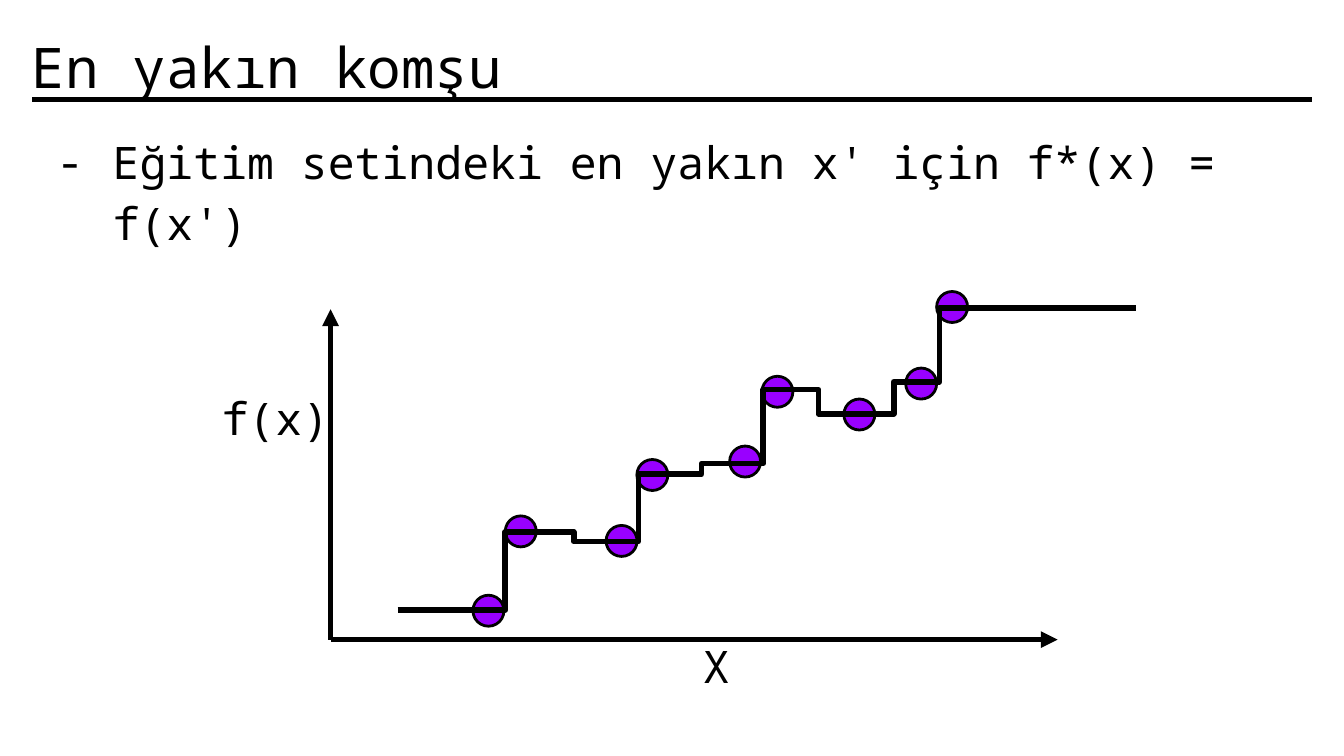
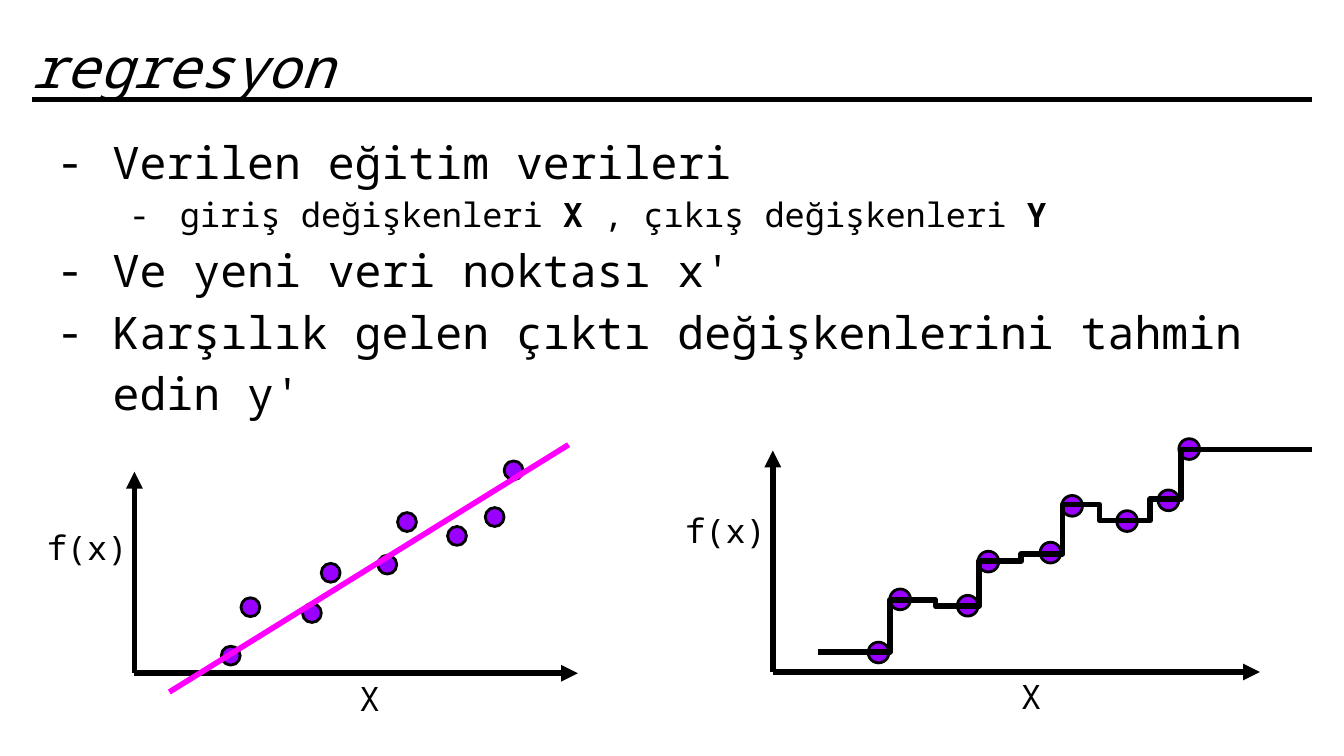
import pptx
import pptx.dml.color
import pptx.enum.shapes
import pptx.enum.text
import pptx.oxml
import pptx.oxml.ns
import pptx.util
import lxml.etree

Pt = pptx.util.Pt
Align = pptx.enum.text.PP_ALIGN
Anchor = pptx.enum.text.MSO_ANCHOR

COLORS = {"ink": "000000", "paper": "FFFFFF", "dot": "9900FF", "fit": "FF00FF"}
FONT = "Noto Sans Mono"

# Plot geometry at full scale: points right of and above the axis origin.
AXIS_WIDTH, AXIS_HEIGHT = 389.5, 177
DOT_SIZE = 16.6
DOTS = [(84.6, 15.5), (101.9, 58), (155.9, 52.9), (172.4, 88.2), (222.1, 95.4),
        (239.4, 132.8), (283.3, 120.6), (316.4, 137.2), (333, 178.2)]
STEP_EDGES = [36, 93.6, 130.3, 164.9, 198.7, 231.8, 261.4, 301.7, 326.2, 431.5]
STEP_LEVELS = [15.8, 57.6, 52.6, 88.6, 94.3, 133.9, 121, 138.2, 177.8]
FIT_LINE = [(30.7, -16.5), (381.3, 200.7)]

# Per outline level: left margin, hanging indent, text size.
LEVELS = [(36, -30, 24), (72, -27, 18)]


def color(name):
    return pptx.dml.color.RGBColor.from_string(COLORS[name])


def add_xml(parent, tag, **attributes):
    child = lxml.etree.SubElement(parent, pptx.oxml.ns.qn(tag))
    for key, value in attributes.items():
        child.set(key, str(value))
    return child


class Deck:
    def __init__(self):
        self.deck = pptx.Presentation()
        self.deck.slide_width, self.deck.slide_height = Pt(720), Pt(405)
        self.page = None

    def start_page(self, title, italic=False):
        self.page = self.deck.slides.add_slide(self.deck.slide_layouts[6])
        self.line(self.page.shapes, (17.3, 53.3), (702.7, 53.3), width=2.25)
        box = self.text_box(self.page.shapes, 10, 15, 700, 45.4)
        box.text_frame.vertical_anchor = Anchor.BOTTOM
        self.span(box.text_frame.paragraphs[0], title, 30, italic=italic)

    def text_box(self, shapes, left, top, width, height):
        box = shapes.add_textbox(Pt(left), Pt(top), Pt(width), Pt(height))
        frame = box.text_frame
        frame.word_wrap = True
        frame.margin_left = frame.margin_right = Pt(7.2)
        frame.margin_top = frame.margin_bottom = Pt(7.2)
        return box

    def span(self, para, text, size, bold=False, italic=False):
        span = para.add_run()
        span.text = text
        font = span.font
        font.name, font.size = FONT, Pt(size)
        font.bold, font.italic = bold, italic
        font.color.rgb = color("ink")

    def label(self, shapes, text, size, left, top, width, height, align=Align.LEFT):
        box = self.text_box(shapes, left, top, width, height)
        para = box.text_frame.paragraphs[0]
        para.alignment = align
        self.span(para, text, size)

    def body(self, *items):
        """Each item is a level followed by (text, bold) spans."""
        box = self.text_box(self.page.shapes, 17.3, 60.5, 685, 335)
        box.fill.solid()
        box.fill.fore_color.rgb = color("paper")
        paint = box.fill._xPr.find(".//" + pptx.oxml.ns.qn("a:srgbClr"))
        add_xml(paint, "a:alpha", val=60000)
        frame = box.text_frame
        for index, (level, *spans) in enumerate(items):
            para = frame.add_paragraph() if index else frame.paragraphs[0]
            para.level = level
            margin, indent, size = LEVELS[level]
            self.bullet(para, margin, indent)
            para.line_spacing = 1.15
            for text, bold in spans:
                self.span(para, text, size, bold)

    def bullet(self, para, margin, indent):
        props = para._p.get_or_add_pPr()
        props.set("marL", str(Pt(margin)))
        props.set("indent", str(Pt(indent)))
        add_xml(add_xml(props, "a:buClr"), "a:srgbClr", val=COLORS["ink"])
        add_xml(props, "a:buFont", typeface=FONT)
        add_xml(props, "a:buChar", char="-")

    def line(self, shapes, start, end, paint="ink", width=3, arrow=False):
        line = shapes.add_connector(pptx.enum.shapes.MSO_CONNECTOR.STRAIGHT,
                                    *map(Pt, start + end))
        line.line.color.rgb = color(paint)
        line.line.width = Pt(width)
        if arrow:
            add_xml(line.line._get_or_add_ln(), "a:tailEnd", type="triangle")
        add_xml(line._element.spPr, "a:effectLst")

    def dot(self, shapes, center, size):
        left, top = (value - size / 2 for value in center)
        dot = shapes.add_shape(pptx.enum.shapes.MSO_SHAPE.OVAL,
                               Pt(left), Pt(top), Pt(size), Pt(size))
        dot.shadow.inherit = False
        dot.fill.solid()
        dot.fill.fore_color.rgb = color("dot")
        dot.line.color.rgb = color("ink")
        dot.line.width = Pt(1.5)

    def outline(self, shapes, points):
        start, *rest = [tuple(map(Pt, point)) for point in points]
        builder = shapes.build_freeform(*start)
        builder.add_line_segments(rest, close=False)
        outline = builder.convert_to_shape()
        outline.shadow.inherit = False
        outline.fill.background()
        outline.line.color.rgb = color("ink")
        outline.line.width = Pt(3)

    def plot(self, left, base, scale, label_shift, size, model):
        """Draw axes, data and a "steps" or "fit" model from origin (left, base)."""
        def place(x, y):
            return left + x * scale, base - y * scale

        shapes = self.page.shapes.add_group_shape().shapes
        self.label(shapes, "f(x)", size, left - label_shift, base - 140.4 * scale,
                   173.5 * scale, 60.5 * scale)
        for point in DOTS:
            self.dot(shapes, place(*point), DOT_SIZE * scale)
        for tip in [(0, AXIS_HEIGHT), (AXIS_WIDTH, 0)]:
            self.line(shapes, place(0, 0), place(*tip), arrow=True)
        self.label(shapes, "X", size, *place(11.5, 7.9),
                   390.2 * scale, 60.5 * scale, Align.CENTER)
        if model == "steps":
            edges = zip(STEP_EDGES, STEP_EDGES[1:], STEP_LEVELS)
            self.outline(shapes, [place(x, level) for start, end, level in edges
                                  for x in (start, end)])
        else:
            start, end = FIT_LINE
            self.line(shapes, place(*start), place(*end), "fit")

    def nearest_neighbor_page(self):
        self.start_page("En yakın komşu")
        self.body((0, ("Eğitim setindeki en yakın x' için f*(x) = f(x')", False)))
        self.plot(177.1, 342.7, 1, 65.5, 24, "steps")

    def regression_page(self):
        self.start_page("regresyon", italic=True)
        self.body(
            (0, ("Verilen eğitim verileri", False)),
            (1, ("giriş değişkenleri ", False), ("X ", True),
             (", çıkış değişkenleri ", False), ("Y", True)),
            (0, ("Ve yeni veri noktası x'", False)),
            (0, ("Karşılık gelen çıktı değişkenlerini tahmin edin y'", False)))
        self.plot(414, 360, 0.67, 54, 18, "steps")
        self.plot(72, 360.7, 0.61, 54, 18, "fit")


def main():
    deck = Deck()
    deck.nearest_neighbor_page()
    deck.regression_page()
    deck.deck.save("out.pptx")


if __name__ == "__main__":
    main()
